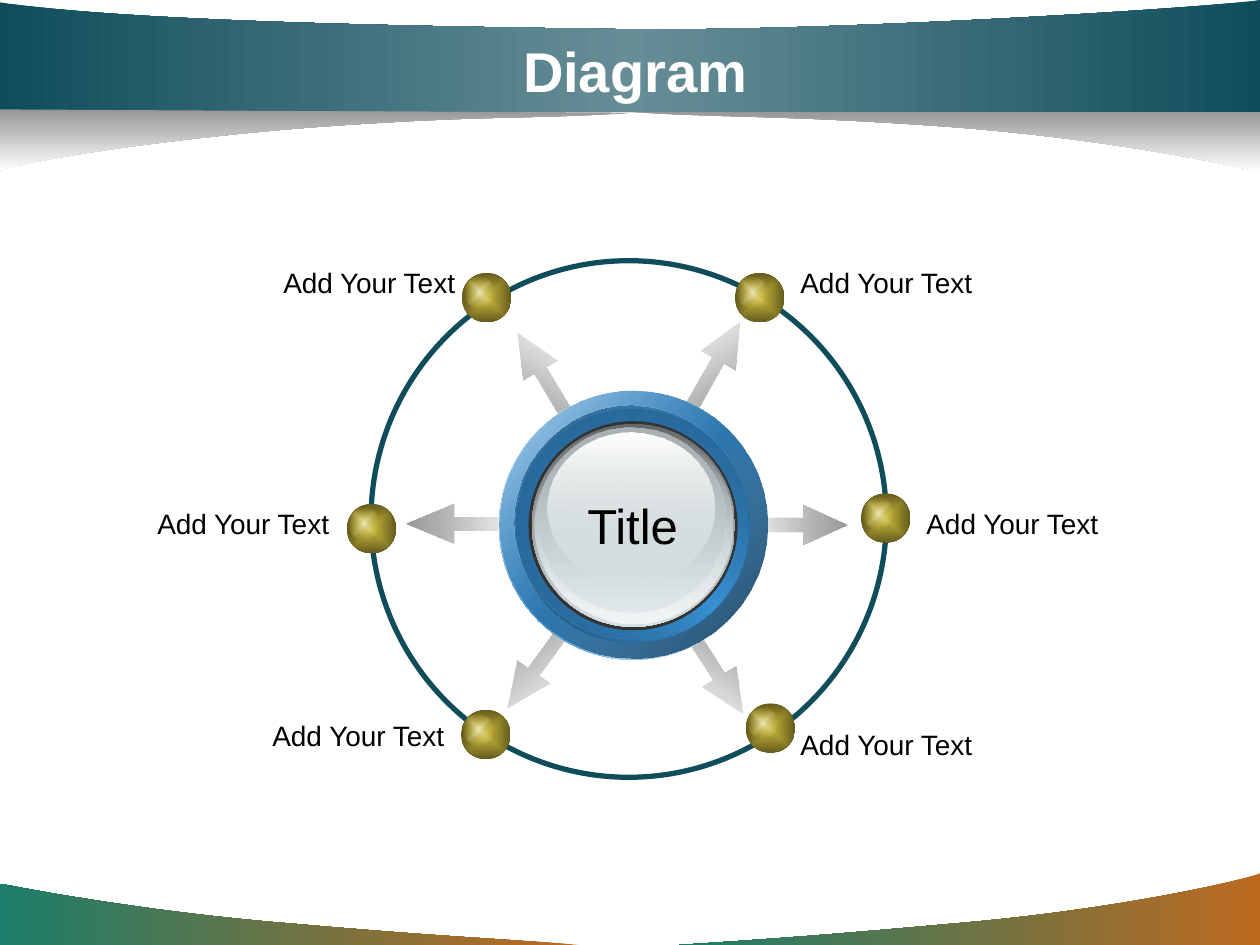
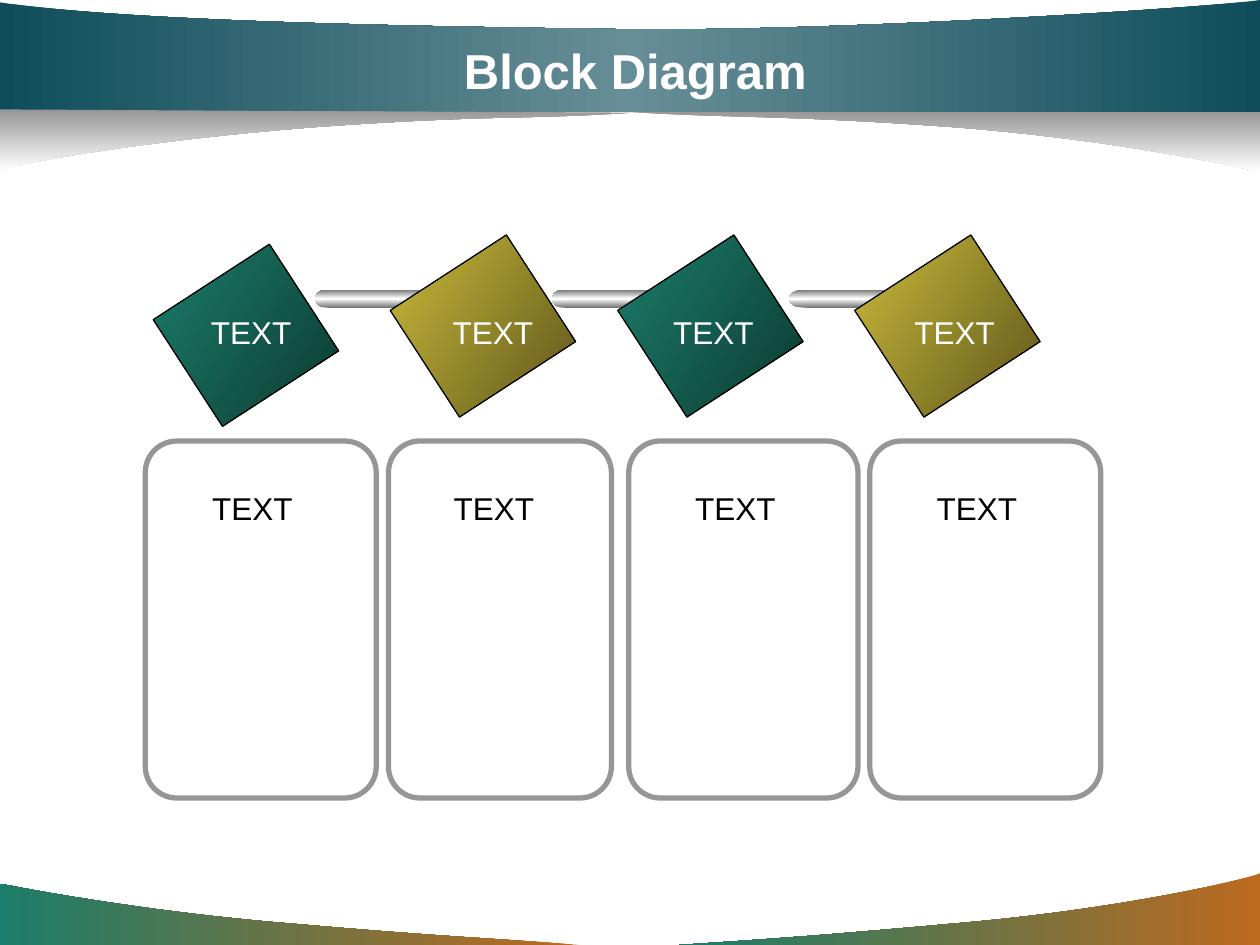
from dataclasses import dataclass

from lxml import etree
from pptx import Presentation
from pptx import util as u
from pptx.dml.color import RGBColor
from pptx.enum import shapes as kinds, text as txt
from pptx.oxml.ns import qn

Pt = u.Pt
SHAPE = kinds.MSO_SHAPE
ALIGN = txt.PP_ALIGN


@dataclass(frozen=True)
class Theme:
    font: str = "Arial"
    black: str = "000000"
    white: str = "FFFFFF"
    teal: str = "0F4D5B"
    teal_light: str = "678E97"
    green: str = "1B7D6A"
    green_dark: str = "0D3A31"
    orange: str = "BD6A1F"
    gold: str = "CBBA3B"
    gold_light: str = "ECE6B8"
    gold_dark: str = "635A1D"
    gold_shade: str = "5E561B"
    grey: str = "969696"
    arrow_grey: str = "868686"
    steel: str = "767676"
    charcoal: str = "333333"
    blue: str = "3790D3"
    blue_deep: str = "194362"
    blue_dark: str = "1E4E72"
    blue_shade: str = "235B86"
    glass: str = "D6E1E2"
    glass_light: str = "F1F5F5"
    glass_shade: str = "AAB2B3"
    glass_dark: str = "636869"
    title_size: int = 32
    small_title_size: int = 28
    hub_size: int = 28
    block_size: int = 18
    label_size: int = 16


T = Theme()


def points(*lengths):
    return [Pt(length) for length in lengths]


def gradient(shape, stops, angle=None, turns=True):
    """Fill with (percent, colour[, opacity]) stops; no angle means from the centre out."""
    shape.fill.solid()
    solid = shape.element.spPr.find(qn("a:solidFill"))
    grad = etree.Element(qn("a:gradFill"), rotWithShape=str(int(turns)))
    stop_list = etree.SubElement(grad, qn("a:gsLst"))
    for percent, colour, *opacity in stops:
        stop = etree.SubElement(stop_list, qn("a:gs"), pos=str(percent * 1000))
        rgb = etree.SubElement(stop, qn("a:srgbClr"), val=colour)
        if opacity:
            etree.SubElement(rgb, qn("a:alpha"), val=str(opacity[0] * 1000))
    if angle is None:
        centre = etree.SubElement(grad, qn("a:path"), path="rect")
        etree.SubElement(centre, qn("a:fillToRect"),
                         {side: "50000" for side in "ltrb"})
    else:
        etree.SubElement(grad, qn("a:lin"), ang=str(round(angle * 60000)), scaled="0")
    solid.getparent().replace(solid, grad)


def outline(shape, colour=None, width=0):
    shape.shadow.inherit = False
    if colour is None:
        shape.line.fill.background()
    else:
        shape.line.color.rgb = RGBColor.from_string(colour)
        shape.line.width = Pt(width)


def add_preset(parent, preset, box, stops=None, angle=None, turns=True, line=()):
    shape = parent.shapes.add_shape(preset, *points(*box))
    outline(shape, *line)
    if stops:
        gradient(shape, stops, angle, turns)
    else:
        shape.fill.background()
    return shape


def add_run(paragraph, words, size, colour, bold=False):
    run = paragraph.add_run()
    run.text = words
    run.font.name = T.font
    run.font.size = Pt(size)
    run.font.bold = bold
    run.font.color.rgb = RGBColor.from_string(colour)


def add_label(slide, words, box, size, colour=T.black, align=ALIGN.LEFT):
    frame = slide.shapes.add_textbox(*points(*box)).text_frame
    frame.word_wrap = False
    frame.paragraphs[0].alignment = align
    add_run(frame.paragraphs[0], words, size, colour)


def add_band(slide, start, parts, stops, angle):
    """Closed outline; a part is a corner (x, y) or a curve: two handles and an end."""
    builder = slide.shapes.build_freeform(*points(*start))
    builder.add_line_segments([points(*part[-2:]) for part in parts], close=True)
    band = builder.convert_to_shape()
    segments = list(band.element.iter(qn("a:lnTo")))
    for segment, part in zip(segments, parts):
        if len(part) == 6:
            bend = etree.Element(qn("a:cubicBezTo"))
            for x, y in zip(part[::2], part[1::2]):
                etree.SubElement(bend, qn("a:pt"), x=str(Pt(x) - band.left),
                                 y=str(Pt(y) - band.top))
            segment.getparent().replace(segment, bend)
    outline(band)
    gradient(band, stops, angle)
    return band


def dress_layout(layout, slide):
    """Draw the bands on a slide, then hand them to the layout under its title."""
    footer = [(0, T.orange), (100, T.green)]
    shade = [(0, T.grey), (100, T.white)]
    header = [(0, T.teal), (50, T.teal_light), (100, T.teal)]
    bands = [
        ((331, 540), [(276.5, 535.7, 257.8, 535.7, 167, 527.8),
                      (76.3, 520.6, 0.7, 505, 0, 505), (0, 540)], footer, 180),
        ((388.3, 540), [(442, 536.4, 465, 535, 553.7, 527),
                        (642.2, 519, 712.8, 502.6, 720, 499), (720, 540)], footer, 180),
        ((360, 64), [(420.5, 67.7, 446.4, 65.5, 545.8, 72.7),
                     (646.6, 80.6, 718.6, 98, 720, 98), (720, 63.4)], shade, 90),
        ((0, 64.3), [(720, 64.3), (720, 0), (694, 4.3, 470.2, 18.7, 350.6, 16.6),
                     (231, 15, 72.7, 12.2, 0, 1.4)], header, 180),
        ((360, 64.5), [(299.5, 68.4, 279.4, 65.5, 179.3, 72.7),
                       (79.2, 80.6, 8, 93.6, 0, 97.5), (0, 62.5)], shade, 90),
    ]
    for order, band in enumerate(bands):
        element = add_band(slide, *band).element
        element.nvSpPr.cNvPr.set("id", str(20 + order))
        layout.shapes.element.insert(2 + order, element)
    title = layout.placeholders[0]
    title.left, title.top, title.width, title.height = points(54, 17.8, 618, 44.6)
    title.text_frame.vertical_anchor = txt.MSO_ANCHOR.MIDDLE


def add_title(slide, words, size):
    paragraph = slide.shapes.title.text_frame.paragraphs[0]
    paragraph.alignment = ALIGN.CENTER
    add_run(paragraph, words, size, T.white, bold=True)


def add_spoke(slide, left, top, rotation, length=62.6):
    spoke = add_preset(slide, SHAPE.RIGHT_ARROW, (left, top, length, 23),
                       [(0, T.grey), (100, T.arrow_grey, 0)],
                       (180 - rotation) % 360, turns=False)
    spoke.adjustments[0] = 0.35
    spoke.adjustments[1] = 1.11 * length / 62.6
    spoke.rotation = rotation


def add_ball(slide, left, top):
    ball = slide.shapes.add_group_shape()
    add_preset(ball, SHAPE.OVAL, (left, top, 28.3, 28.3), [(0, T.gold), (100, T.gold_dark)])
    add_preset(ball, SHAPE.OVAL, (left + 1.3, top + 2.3, 17.3, 18),
               [(0, T.gold_light), (100, T.gold, 0)])


def add_hub(slide):
    rim = [
        ((285.2, 223.6, 153.4, 153.4), [(0, T.white), (50, T.blue), (100, T.white)], 225),
        ((285.2, 223, 153.4, 153.4), [(0, T.blue_deep), (100, T.blue, 32)], 225),
        ((295.2, 234, 133.2, 133.2),
         [(0, T.blue_dark), (50, T.blue), (100, T.blue_dark)], 135),
        ((293.8, 231.8, 133.2, 133.2), [(0, T.blue, 0), (100, T.blue_shade)], 225),
    ]
    glass = [
        ((304, 242.2, 116, 116), [(0, T.glass_dark), (100, T.glass)], 90),
        ((305.5, 243.6, 113, 113), [(0, T.glass, 0), (100, T.glass_light)], 90),
        ((307, 244.2, 107.3, 105.8), [(0, T.glass_shade), (100, T.glass, 48)], 90),
        ((312.7, 247, 95.8, 85.7), [(0, T.white), (100, T.glass, 38)], 90),
    ]
    for disc in rim:
        add_preset(slide, SHAPE.OVAL, *disc)
    button = slide.shapes.add_group_shape()
    edge = add_preset(button, SHAPE.OVAL, (302, 240.7, 119.5, 119.5))
    edge.fill.solid()
    edge.fill.fore_color.rgb = RGBColor.from_string(T.charcoal)
    for disc in glass:
        add_preset(button, SHAPE.OVAL, *disc)
    add_label(slide, "Title", (328, 279.4, 67, 41), T.hub_size, align=ALIGN.CENTER)


def draw_wheel(slide):
    for spoke in [(376, 199.4, 299.6), (376, 370, 57.8), (280.3, 205.2, 239.5),
                  (277, 367.2, 125.6), (421.8, 288.3, 0), (231.8, 287.8, 180, 67.7)]:
        add_spoke(slide, *spoke)
    add_preset(slide, SHAPE.OVAL, (212, 149, 294.5, 295.2), line=(T.teal, 3))
    add_hub(slide)
    # Each stop on the wheel: ball corner, label corner, label alignment
    stops = [
        ((263.5, 405.6), (145, 406.8), ALIGN.RIGHT),
        ((198.2, 288), (79.2, 285.8), ALIGN.RIGHT),
        ((264, 156), (151.2, 148.3), ALIGN.RIGHT),
        ((420, 156), (450.3, 148.3), ALIGN.LEFT),
        ((492, 282), (522.3, 285.8), ALIGN.LEFT),
        ((426.2, 402), (450.3, 412), ALIGN.LEFT),
    ]
    for ball, label, align in stops:
        add_ball(slide, *ball)
        add_label(slide, "Add Your Text", (*label, 116, 26.6), T.label_size, align=align)


def add_rod(chain, left, stretch):
    """Metal rod with rounded ends, its parts widened by stretch."""
    metal = [(0, T.steel), (50, T.white), (100, T.steel)]
    parts = [
        (SHAPE.OVAL, 0, 165.6, 12.2, 10.2, ()),
        (SHAPE.RECTANGLE, 7, 165.6, 61.2, 10.2, ()),
        (SHAPE.OVAL, 62, 165.6, 10.8, 10.2, (T.white, 1)),
        (SHAPE.OVAL, 68.4, 169.2, 3, 3, ()),
    ]
    for preset, offset, top, width, height, line in parts:
        box = (left + offset * stretch, top, width * stretch, height)
        add_preset(chain, preset, box, metal, 90, line=line)


def add_tile(chain, left, top, stops):
    tile = add_preset(chain, SHAPE.RECTANGLE, (left, top, 72.7, 79.2), stops, 33,
                      turns=False, line=(T.black, 0.75))
    tile.rotation = 57


def draw_blocks(slide):
    for left, width in [(497, 132), (359.3, 131), (222, 127.4), (83, 132)]:
        panel = add_preset(slide, SHAPE.ROUNDED_RECTANGLE, (left, 252, width, 204),
                           line=(T.grey, 3))
        panel.adjustments[0] = 18 / width
    green = [(0, T.green), (100, T.green_dark)]
    gold = [(0, T.gold), (100, T.gold_shade)]
    tiles = [(104.2, 152, green), (239.6, 146.7, gold),
             (369.6, 146.7, green), (505, 146.7, gold)]
    rods = [(180, 1), (315.4, 1), (451, 1.31)]
    chain = slide.shapes.add_group_shape()
    for order, tile in enumerate(tiles):
        add_tile(chain, *tile)
        if order < len(rods):
            add_rod(chain, *rods[order])
    for left in [113.5, 251.6, 377.6, 515.5]:
        add_label(slide, "TEXT", (left, 175.3, 60.5, 28.8), T.block_size, T.white)
    for order in range(len(tiles)):
        add_label(slide, "TEXT", (114.2 + 138 * order, 275.8, 60.5, 28.8), T.block_size)


def main():
    deck = Presentation()
    deck.slide_width, deck.slide_height = points(720, 540)
    layout = deck.slide_layouts[5]

    wheel = deck.slides.add_slide(layout)
    dress_layout(layout, wheel)
    add_title(wheel, "Diagram", T.title_size)
    draw_wheel(wheel)

    blocks = deck.slides.add_slide(layout)
    add_title(blocks, "Block Diagram", T.small_title_size)
    draw_blocks(blocks)

    deck.save("out.pptx")


if __name__ == "__main__":
    main()
